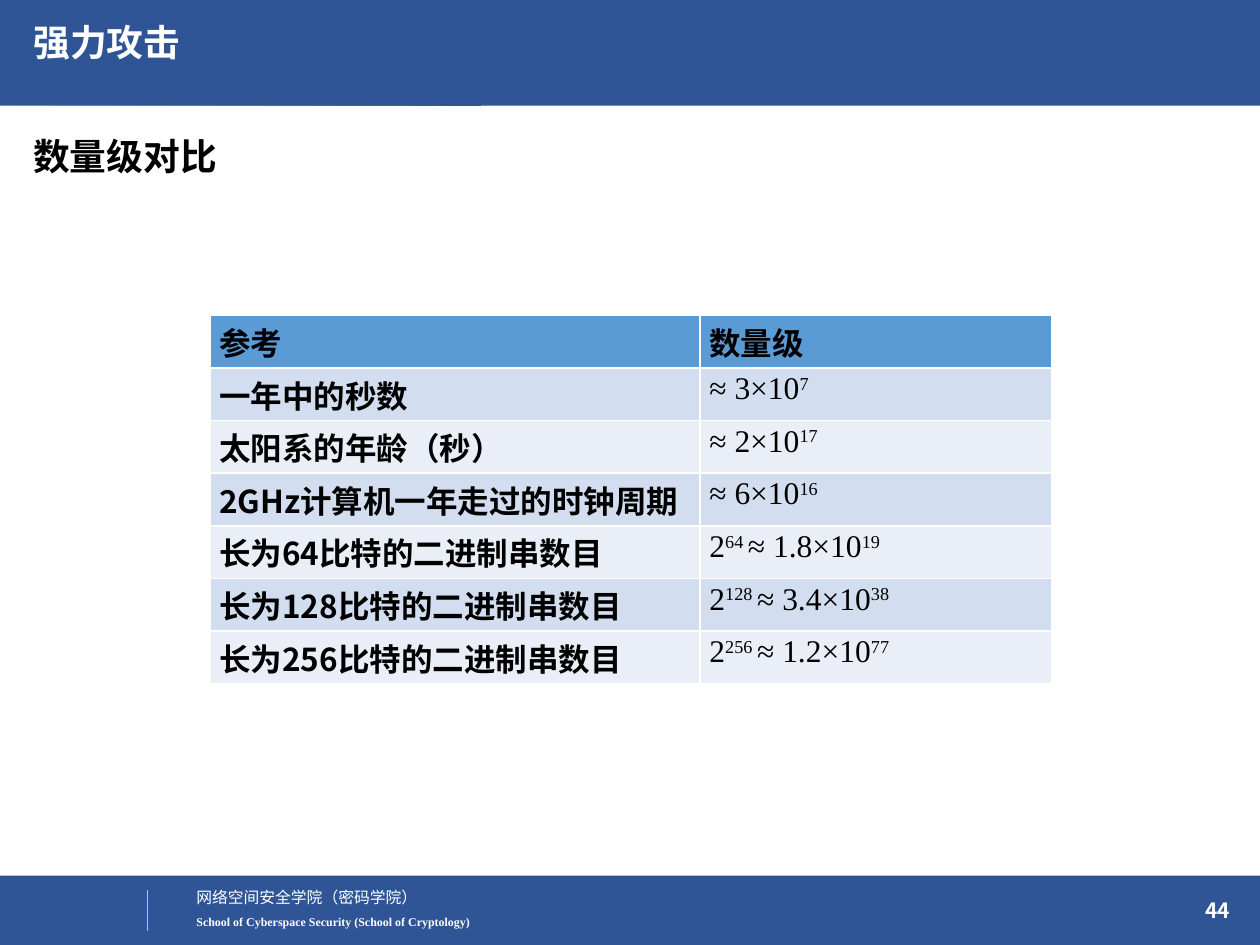
from dataclasses import dataclass

from lxml.etree import SubElement
from pptx import Presentation
from pptx.dml.color import RGBColor
from pptx.enum.shapes import MSO_CONNECTOR, MSO_SHAPE
from pptx.enum.text import MSO_ANCHOR, MSO_AUTO_SIZE, PP_ALIGN
from pptx.oxml.ns import qn
from pptx.util import Cm, Pt


@dataclass(frozen=True)
class Theme:
    band: str = "2F5597"
    header: str = "5B9BD5"
    rows: tuple = ("D2DEEF", "EAEFF7")
    white: str = "FFFFFF"
    black: str = "000000"
    divider: str = "BFBFBF"
    sans: str = "Noto Sans CJK SC"
    serif: str = "Times New Roman"
    heading: float = 21
    cell: float = 18
    number: float = 12
    school: float = 9
    school_english: float = 6.8


THEME = Theme()

# Text between bars is superscript.
TABLE_ROWS = [
    ("参考", "数量级"),
    ("一年中的秒数", "≈ 3×10|7"),
    ("太阳系的年龄（秒）", "≈ 2×10|17"),
    ("2GHz计算机一年走过的时钟周期", "≈ 6×10|16"),
    ("长为64比特的二进制串数目", "2|64 |≈ 1.8×10|19"),
    ("长为128比特的二进制串数目", "2|128 |≈ 3.4×10|38"),
    ("长为256比特的二进制串数目", "2|256 |≈ 1.2×10|77"),
]


def write_text(frame, text, size, color=THEME.black, font=THEME.sans, bold=True,
               align=PP_ALIGN.LEFT, anchor=MSO_ANCHOR.TOP, wrap=True, space_before=0):
    """Fill a text frame; every second part between bars is superscript."""
    frame.word_wrap = wrap
    if not wrap:
        frame.auto_size = MSO_AUTO_SIZE.SHAPE_TO_FIT_TEXT
    frame.vertical_anchor = anchor
    paragraph = frame.paragraphs[0]
    paragraph.alignment = align
    paragraph.space_before = Pt(space_before)
    for index, part in enumerate(text.split("|")):
        run = paragraph.add_run()
        run.text = part
        run.font.size = Pt(size)
        run.font.bold = bold
        run.font.color.rgb = RGBColor.from_string(color)
        run.font.name = font
        properties = run._r.get_or_add_rPr()
        SubElement(properties, qn("a:ea"), typeface=font)
        if index % 2:
            properties.set("baseline", "30000")


def add_text(slide, left, top, width, height, text, size, **text_format):
    box = slide.shapes.add_textbox(Cm(left), Cm(top), Cm(width), Cm(height))
    write_text(box.text_frame, text, size, **text_format)


def add_band(slide, top, width, height):
    band = slide.shapes.add_shape(MSO_SHAPE.RECTANGLE, 0, Cm(top), Cm(width), Cm(height))
    band.shadow.inherit = False
    band.line.fill.background()
    band.fill.solid()
    band.fill.fore_color.rgb = RGBColor.from_string(THEME.band)
    return band


def fade_from_left(band):
    band.fill.gradient()
    band.fill.gradient_angle = 0
    for stop in band.fill.gradient_stops:
        stop.color.rgb = RGBColor.from_string(THEME.band)
    first_color = band._element.spPr.find(".//" + qn("a:srgbClr"))
    SubElement(first_color, qn("a:alpha"), val="0")


def add_divider(slide, left, top, bottom):
    line = slide.shapes.add_connector(
        MSO_CONNECTOR.STRAIGHT, Cm(left), Cm(top), Cm(left), Cm(bottom))
    line.line.color.rgb = RGBColor.from_string(THEME.divider)
    line.line.width = Pt(0.5)
    SubElement(line._element.spPr, qn("a:effectLst"))


def set_borders(cell):
    properties = cell._tc.get_or_add_tcPr()
    for side in ("lnL", "lnR", "lnT", "lnB"):
        border = SubElement(properties, qn(f"a:{side}"), w=str(Pt(1)))
        fill = SubElement(border, qn("a:solidFill"))
        SubElement(fill, qn("a:srgbClr"), val=THEME.white)


def format_cell(cell, text, fill, font, bold):
    cell.margin_left = cell.margin_right = Cm(0.19)
    cell.margin_top = cell.margin_bottom = Cm(0.07)
    set_borders(cell)
    cell.fill.solid()
    cell.fill.fore_color.rgb = RGBColor.from_string(fill)
    write_text(cell.text_frame, text, THEME.cell, font=font, bold=bold)


def add_magnitude_table(slide):
    widths = (9.88, 7.09)
    row_height = 0.9
    table = slide.shapes.add_table(
        len(TABLE_ROWS), len(widths), Cm(4.23), Cm(6.36),
        Cm(sum(widths)), Cm(row_height * len(TABLE_ROWS))).table
    for column, width in zip(table.columns, widths):
        column.width = Cm(width)
    for row_index, values in enumerate(TABLE_ROWS):
        is_header = row_index == 0
        fill = THEME.header if is_header else THEME.rows[(row_index - 1) % 2]
        table.rows[row_index].height = Cm(row_height)
        for column_index, value in enumerate(values):
            is_label = is_header or column_index == 0
            format_cell(table.cell(row_index, column_index), value, fill,
                        font=THEME.sans if is_label else THEME.serif, bold=is_label)


def place_title(slide, text, **text_format):
    title = slide.shapes.title
    title.left, title.top, title.width, title.height = Cm(0.42), Cm(0.28), Cm(16.05), Cm(1.55)
    write_text(title.text_frame, text, THEME.heading, color=THEME.white, **text_format)
    slide.shapes._spTree.append(title._element)  # in front of the top band


def add_footer(slide):
    add_text(slide, 3.71, 17.78, 5, 0.64, "网络空间安全学院（密码学院）",
             THEME.school, color=THEME.white, bold=False, wrap=False)
    add_text(slide, 3.71, 18.31, 6.2, 0.53,
             "School of Cyberspace Security (School of Cryptology)",
             THEME.school_english, color=THEME.white, font=THEME.serif, wrap=False)
    add_divider(slide, 2.97, 17.95, 18.77)
    add_text(slide, 19.33, 17.83, 5.72, 1.02, "44", THEME.number, color=THEME.white,
             align=PP_ALIGN.RIGHT, anchor=MSO_ANCHOR.MIDDLE)


def main():
    presentation = Presentation()
    presentation.slide_width, presentation.slide_height = Cm(25.4), Cm(19.05)
    slide = presentation.slides.add_slide(presentation.slide_layouts[5])

    add_band(slide, 17.65, 25.4, 1.4)
    add_band(slide, 0, 25.4, 2.13)
    fade_from_left(add_band(slide, -0.01, 9.68, 2.14))
    add_footer(slide)

    add_text(slide, 0.42, 2.57, 24.56, 1.57, "数量级对比", THEME.heading, space_before=7.5)
    place_title(slide, "强力攻击", space_before=7.5)
    add_magnitude_table(slide)

    presentation.save("out.pptx")


if __name__ == "__main__":
    main()
